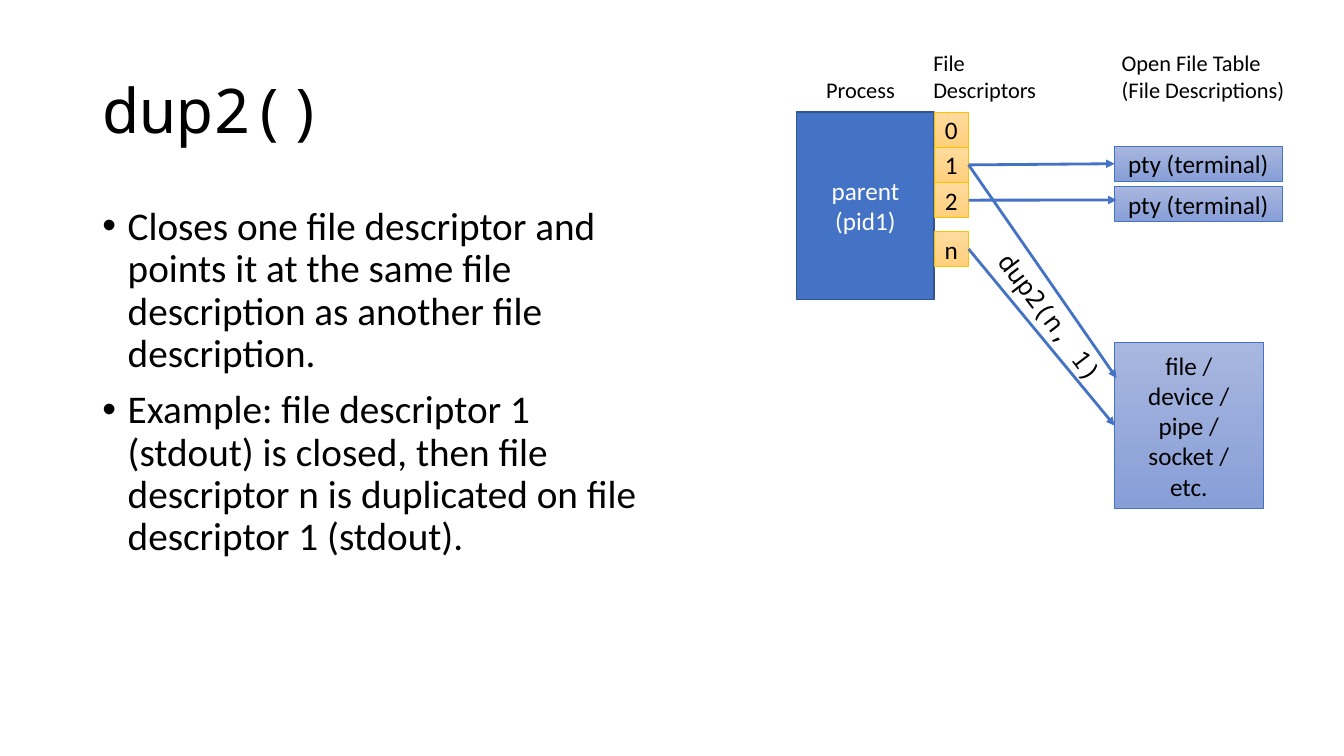
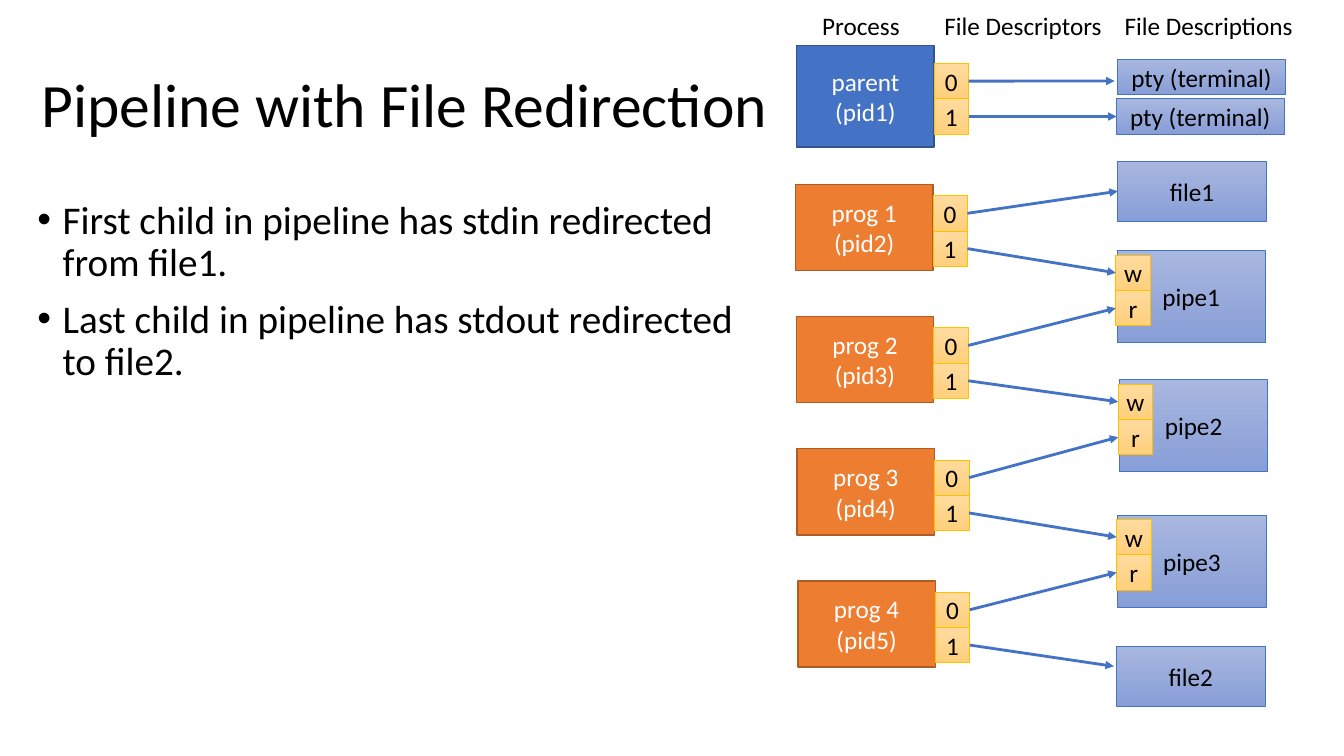
import lxml.etree
import pptx
import pptx.dml.color
import pptx.enum.shapes
import pptx.enum.text
import pptx.oxml.ns
import pptx.util

Cm, Pt = pptx.util.Cm, pptx.util.Pt
MSO_ANCHOR, PP_ALIGN = pptx.enum.text.MSO_ANCHOR, pptx.enum.text.PP_ALIGN
MSO_AUTO_SIZE = pptx.enum.text.MSO_AUTO_SIZE
qn = pptx.oxml.ns.qn

SANS, MONO = "Calibri", "Noto Sans Mono"
COLORS = {
    "text": "000000",
    "light text": "FFFFFF",
    "arrow": "4472C4",
}
# Per kind of box: fill (two colours make a gradient), line, line width, text
STYLES = {
    "parent": (["4472C4"], "325491", 1, "light text"),
    "program": (["ED7D31"], "AF5C24", 1, "light text"),
    "descriptor": (["FFDB9E", "FFD07C"], "FFC000", 0.5, "text"),
    "file": (["A8B7DF", "889ED7"], "4472C4", 0.5, "text"),
}
CELL_WIDTH, CELL_HEIGHT = 0.87, 0.89
PROCESS_WIDTH, FILE_WIDTH, TERMINAL_WIDTH = 3.46, 3.74, 4.22
PROCESS_LEFT, CELL_LEFT, FILE_LEFT = 20.08, 23.54, 28.09


def rgb(value):
    return pptx.dml.color.RGBColor.from_string(value)


def write(frame, lines, size, color="text", font=SANS, align=PP_ALIGN.LEFT):
    """Fill a text frame with one paragraph per line."""
    for index, line in enumerate(lines):
        paragraph = frame.add_paragraph() if index else frame.paragraphs[0]
        paragraph.alignment = align
        run = paragraph.add_run()
        run.text = line
        run.font.size = Pt(size)
        run.font.name = font
        run.font.color.rgb = rgb(COLORS[color])


# Boxes of the dup2 slide: name -> kind, lines, left, top, width, height
dup2_boxes = {
    "parent": ("parent", ["parent", "(pid1)"], PROCESS_LEFT, 2.82, PROCESS_WIDTH, 4.73),
    "target": ("file", ["file /", "device /", "pipe /", "socket /", "etc."],
               FILE_LEFT, 8.64, FILE_WIDTH, 4.17),
}
for name, top in zip("012n", [2.82, 3.71, 4.6, 5.83]):
    dup2_boxes[name] = ("descriptor", [name], CELL_LEFT, top, CELL_WIDTH, CELL_HEIGHT)
for number, top in enumerate([3.68, 4.7], start=1):
    dup2_boxes[f"terminal {number}"] = (
        "file", ["pty (terminal)"], FILE_LEFT, top, TERMINAL_WIDTH, CELL_HEIGHT)

# Arrows run from a box to the side of another box, or to a point
dup2_arrows = [
    ("1", "terminal 1"),
    ("2", (28.14, 5.04)),
    ("1", (28.14, 9.53)),
    ("n", "target"),
]

# Boxes of the pipeline slide
pipeline_boxes = {
    "parent": ("parent", ["parent", "(pid1)"], PROCESS_LEFT, 1.14, PROCESS_WIDTH, 2.57),
    "file1": ("file", ["file1"], 28.17, 4.06, FILE_WIDTH, 1.52),
    "file2": ("file", ["file2"], 28.14, 16.28, FILE_WIDTH, 1.52),
    "terminal 1": ("file", ["pty (terminal)"], 28.17, 1.5, TERMINAL_WIDTH, CELL_HEIGHT),
    "terminal 2": ("file", ["pty (terminal)"], 28.14, 2.49, TERMINAL_WIDTH, CELL_HEIGHT),
}
pipeline_arrows = [("parent 0", (28.09, 2.04)), ("parent 1", "terminal 2")]
cell_groups = [("parent", "01", CELL_LEFT, 1.6)]

for number, (left, top) in enumerate([(28.15, 6.32), (28.21, 9.57), (28.17, 12.98)], start=1):
    name = f"pipe{number}"
    pipeline_boxes[name] = ("file", [name], left, top, FILE_WIDTH, 2.32)
    cell_groups.append((name, "wr", left - 0.03, top + 0.11))

for number in range(1, 5):
    name = f"prog {number}"
    left = 20.03 + 0.02 * number
    top = 4.65 + 3.33 * (number - 1)
    pipeline_boxes[name] = (
        "program", [name, f"(pid{number + 1})"], left, top, PROCESS_WIDTH, 2.17)
    cell_groups.append((name, "01", left + PROCESS_WIDTH, top + 0.28))
    pipeline_arrows += [
        (f"{name} 0", "file1" if number == 1 else f"pipe{number - 1} r"),
        (f"{name} 1", (28.07, 16.79) if number == 4 else f"pipe{number} w"),
    ]

for owner, letters, left, top in cell_groups:
    for index, letter in enumerate(letters):
        pipeline_boxes[f"{owner} {letter}"] = (
            "descriptor", [letter], left, top + index * CELL_HEIGHT, CELL_WIDTH, CELL_HEIGHT)

# Labels: lines, left, top, width, height, size, font, rotation
SLIDES = [
    {
        "title": ("dup2()", MONO, 2.33, 1.01),
        "body": (2.33, 5.08, 14.4, 12.09),
        "bullets": [
            "Closes one file descriptor and points it at the same file description "
            "as another file description.",
            "Example: file descriptor 1 (stdout) is closed, then file descriptor n "
            "is duplicated on file descriptor 1 (stdout).",
        ],
        "boxes": dup2_boxes,
        "arrows": dup2_arrows,
        "labels": [
            (["Process"], 20.57, 1.8, 2.26, 0.94, 16, SANS, 0),
            (["File", "Descriptors"], 23.27, 1.12, 3.15, 1.62, 16, SANS, 0),
            (["Open File Table", "(File Descriptions)"], 28.02, 1.12, 4.6, 1.62, 16, SANS, 0),
            (["dup2(n, 1)"], 24.31, 7.49, 4.34, 1.02, 18, MONO, 52.7),
        ],
    },
    {
        "title": ("Pipeline with File Redirection", SANS, 0.79, 0.86),
        "body": (0.69, 4.93, 18.82, 13.84),
        "bullets": [
            "First child in pipeline has stdin redirected from file1.",
            "Last child in pipeline has stdout redirected to file2.",
        ],
        "boxes": pipeline_boxes,
        "arrows": pipeline_arrows,
        "labels": [
            (["Process"], 20.47, 0.13, 2.49, 1.02, 18, SANS, 0),
            (["File Descriptors"], 23.55, 0.13, 4.52, 1.02, 18, SANS, 0),
            (["File Descriptions"], 28.09, 0.13, 4.75, 1.02, 18, SANS, 0),
        ],
    },
]

presentation = pptx.Presentation()
presentation.slide_width = Cm(33.87)
presentation.slide_height = Cm(19.05)
title_only = presentation.slide_layouts[5]

for content in SLIDES:
    slide = presentation.slides.add_slide(title_only)
    shapes = slide.shapes

    # Title
    text, font, left, top = content["title"]
    title = shapes.title
    title.left, title.top, title.width, title.height = Cm(left), Cm(top), Cm(29.21), Cm(3.68)
    title.text_frame.auto_size = MSO_AUTO_SIZE.NONE
    title.text_frame.vertical_anchor = MSO_ANCHOR.MIDDLE
    write(title.text_frame, [text], 44, font=font)
    title.text_frame.paragraphs[0].line_spacing = 0.9

    # Bulleted text
    body = shapes.add_textbox(*map(Cm, content["body"]))
    body.text_frame.word_wrap = True
    write(body.text_frame, content["bullets"], 28)
    for paragraph in body.text_frame.paragraphs:
        paragraph.line_spacing = 0.9
        paragraph.space_before = Pt(10)
        properties = paragraph._p.get_or_add_pPr()
        properties.set("marL", str(Cm(0.64)))
        properties.set("indent", str(-Cm(0.64)))
        lxml.etree.SubElement(properties, qn("a:buFont")).set("typeface", "Arial")
        lxml.etree.SubElement(properties, qn("a:buChar")).set("char", "•")

    # Boxes
    drawn = {}
    for name, (kind, lines, *place) in content["boxes"].items():
        fills, line_color, line_width, text_color = STYLES[kind]
        shape = shapes.add_shape(pptx.enum.shapes.MSO_SHAPE.RECTANGLE, *map(Cm, place))
        shape.shadow.inherit = False
        if len(fills) == 1:
            shape.fill.solid()
            shape.fill.fore_color.rgb = rgb(fills[0])
        else:
            shape.fill.gradient()
            shape.fill.gradient_angle = 270
            for stop, color in zip(shape.fill.gradient_stops, fills):
                stop.color.rgb = rgb(color)
        shape.line.color.rgb = rgb(line_color)
        shape.line.width = Pt(line_width)
        frame = shape.text_frame
        frame.margin_left = frame.margin_right = frame.margin_top = frame.margin_bottom = 0
        frame.vertical_anchor = MSO_ANCHOR.MIDDLE
        write(frame, lines, 18, text_color, align=PP_ALIGN.CENTER)
        drawn[name] = shape

    # Arrows
    for source, target in content["arrows"]:
        joined = isinstance(target, str)
        end_x, end_y = (0, 0) if joined else map(Cm, target)
        arrow = shapes.add_connector(
            pptx.enum.shapes.MSO_CONNECTOR.STRAIGHT, 0, 0, end_x, end_y)
        arrow.begin_connect(drawn[source], 3)
        if joined:
            arrow.end_connect(drawn[target], 1)
        arrow.line.color.rgb = rgb(COLORS["arrow"])
        arrow.line.width = Pt(2)
        line = arrow.line._get_or_add_ln()
        lxml.etree.SubElement(line, qn("a:tailEnd")).set("type", "triangle")
        lxml.etree.SubElement(arrow._element.spPr, qn("a:effectLst"))

    # Labels
    for lines, left, top, width, height, size, font, rotation in content["labels"]:
        label = shapes.add_textbox(Cm(left), Cm(top), Cm(width), Cm(height))
        label.rotation = rotation
        label.text_frame.word_wrap = False
        label.text_frame.auto_size = MSO_AUTO_SIZE.SHAPE_TO_FIT_TEXT
        write(label.text_frame, lines, size, font=font)

presentation.save("out.pptx")
